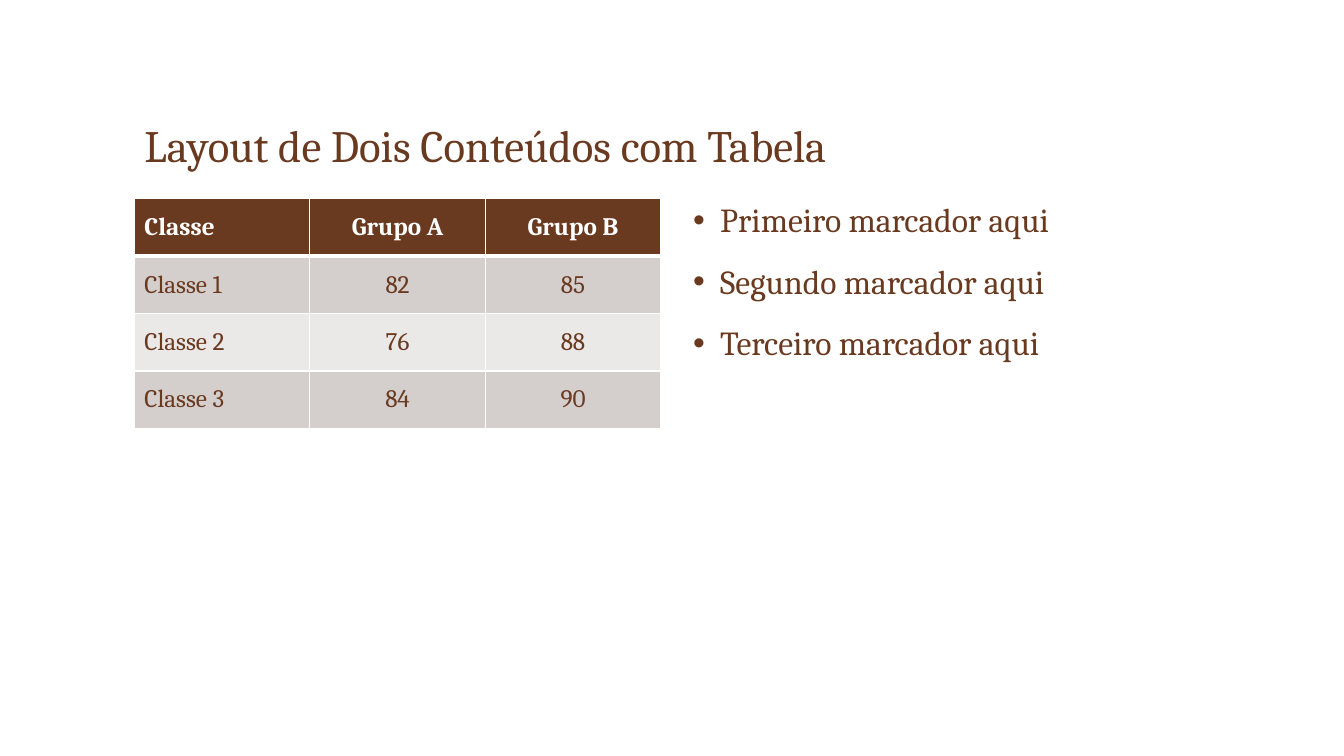
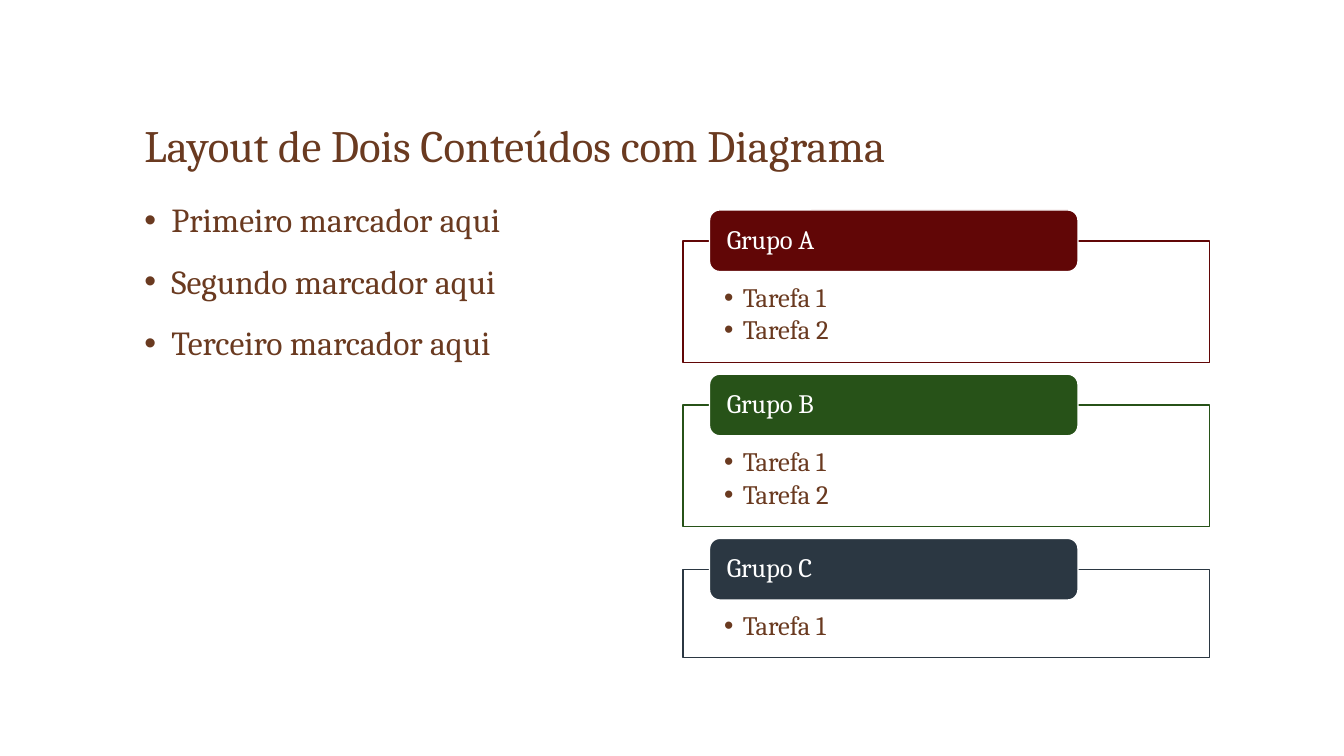
from lxml.etree import SubElement
from pptx import Presentation
from pptx.dml.color import RGBColor
from pptx.enum.shapes import MSO_SHAPE
from pptx.enum.text import MSO_ANCHOR, MSO_AUTO_SIZE, PP_ALIGN
from pptx.oxml.ns import qn
from pptx.util import Pt

FONT = "Cambria"
BROWN = "6A3A20"
WHITE = "FFFFFF"
BAND_DARK = "D4CECD"
BAND_LIGHT = "EBE8E8"

TITLE_BOX = (96, 34, 768, 92)
LEFT_BOX = (96, 142, 376, 336)
RIGHT_BOX = (488, 142, 376, 336)

BULLETS = ["Primeiro marcador aqui", "Segundo marcador aqui", "Terceiro marcador aqui"]
TABLE_ROWS = [
    ["Classe", "Grupo A", "Grupo B"],
    ["Classe 1", "82", "85"],
    ["Classe 2", "76", "88"],
    ["Classe 3", "84", "90"],
]
GROUPS = [
    ("Grupo A", ["Tarefa 1", "Tarefa 2"], "610606"),
    ("Grupo B", ["Tarefa 1", "Tarefa 2"], "275218"),
    ("Grupo C", ["Tarefa 1"], "2B3742"),
]


def paint(color_format, color):
    color_format.rgb = RGBColor.from_string(color)


def fill_with(fill, color):
    fill.solid()
    paint(fill.fore_color, color)


def write(paragraph, text, size, color=BROWN, bold=False, alignment=PP_ALIGN.LEFT):
    paragraph.alignment = alignment
    run = paragraph.add_run()
    run.text = text
    run.font.name = FONT
    run.font.size = Pt(size)
    run.font.bold = bold
    paint(run.font.color, color)


def set_margins(frame, left, top, right, bottom):
    frame.margin_left, frame.margin_top = Pt(left), Pt(top)
    frame.margin_right, frame.margin_bottom = Pt(right), Pt(bottom)


def write_bullets(frame, items, size, indent, before=0, after=0):
    frame.word_wrap = True
    for index, item in enumerate(items):
        paragraph = frame.paragraphs[0] if index == 0 else frame.add_paragraph()
        paragraph.line_spacing = 0.9
        paragraph.space_before = Pt(before)
        paragraph.space_after = Pt(after)
        write(paragraph, item, size)
        properties = paragraph._p.get_or_add_pPr()
        properties.set("marL", str(Pt(indent)))
        properties.set("indent", str(-Pt(indent)))
        SubElement(properties, qn("a:buFont"), typeface="Arial")
        SubElement(properties, qn("a:buChar"), char="•")


def add_box(slide, preset, box, fill, line):
    shape = slide.shapes.add_shape(preset, *map(Pt, box))
    shape.shadow.inherit = False
    fill_with(shape.fill, fill)
    paint(shape.line.color, line)
    shape.line.width = Pt(1)
    shape.text_frame.word_wrap = True
    return shape


def add_titled_slide(presentation, text):
    slide = presentation.slides.add_slide(presentation.slide_layouts[5])
    title = slide.shapes.title
    title.left, title.top, title.width, title.height = map(Pt, TITLE_BOX)
    frame = title.text_frame
    frame.auto_size = MSO_AUTO_SIZE.NONE
    frame.vertical_anchor = MSO_ANCHOR.BOTTOM
    write(frame.paragraphs[0], text, 32)
    return slide


def add_bullet_region(slide, box):
    text_box = slide.shapes.add_textbox(*map(Pt, box))
    write_bullets(text_box.text_frame, BULLETS, 24, 19.4, before=18)


def add_borders(cell, widths):
    properties = cell._tc.get_or_add_tcPr()
    for side, width in widths.items():
        line = SubElement(properties, qn(f"a:ln{side}"), w=str(Pt(width)))
        solid = SubElement(line, qn("a:solidFill"))
        SubElement(solid, qn("a:srgbClr"), val=WHITE)


def add_table_region(slide, box, rows, row_height=41):
    left, top, width, _ = box
    column_count = len(rows[0])
    frame = slide.shapes.add_table(
        len(rows), column_count, Pt(left), Pt(top), Pt(width), Pt(row_height * len(rows))
    )
    table = frame.table
    for column in table.columns:
        column.width = Pt(width / column_count)
    for row_index, values in enumerate(rows):
        table.rows[row_index].height = Pt(row_height)
        header = row_index == 0
        band = BROWN if header else BAND_DARK if row_index % 2 else BAND_LIGHT
        for column_index, value in enumerate(values):
            cell = table.cell(row_index, column_index)
            cell.vertical_anchor = MSO_ANCHOR.MIDDLE
            top_width = 3 if row_index == 1 else 1
            add_borders(cell, {"L": 1, "R": 1, "T": top_width, "B": 3 if header else 1})
            fill_with(cell.fill, band)
            alignment = PP_ALIGN.CENTER if column_index else PP_ALIGN.LEFT
            write(cell.text_frame.paragraphs[0], value, 18,
                  WHITE if header else BROWN, header, alignment)


def add_task_group(slide, box, label, tasks, color):
    left, top, width, _ = box
    header_height = 44
    body = add_box(slide, MSO_SHAPE.RECTANGLE, box, WHITE, color)
    body.text_frame.vertical_anchor = MSO_ANCHOR.TOP
    set_margins(body.text_frame, 29.2, 31, 29.2, 10.8)
    write_bullets(body.text_frame, tasks, 19, 13.5, after=2.85)

    header_box = (left + width * 0.05, top - header_height / 2, width * 0.7, header_height)
    header = add_box(slide, MSO_SHAPE.ROUNDED_RECTANGLE, header_box, color, WHITE)
    header.text_frame.vertical_anchor = MSO_ANCHOR.MIDDLE
    set_margins(header.text_frame, 10.2, 0, 10.2, 0)
    paragraph = header.text_frame.paragraphs[0]
    paragraph.line_spacing = 0.9
    write(paragraph, label, 19, WHITE)


def add_group_region(slide, box, groups):
    left, top, width, _ = box
    group_top = top + 30
    for label, tasks, color in groups:
        height = 39 + 24 * len(tasks)
        add_task_group(slide, (left, group_top, width, height), label, tasks, color)
        group_top += height + 30.3


def main():
    presentation = Presentation()
    presentation.slide_width, presentation.slide_height = Pt(960), Pt(540)

    table_slide = add_titled_slide(presentation, "Layout de Dois Conteúdos com Tabela")
    add_table_region(table_slide, LEFT_BOX, TABLE_ROWS)
    add_bullet_region(table_slide, RIGHT_BOX)

    group_slide = add_titled_slide(presentation, "Layout de Dois Conteúdos com Diagrama")
    add_bullet_region(group_slide, LEFT_BOX)
    add_group_region(group_slide, RIGHT_BOX, GROUPS)

    presentation.save("out.pptx")


if __name__ == "__main__":
    main()
